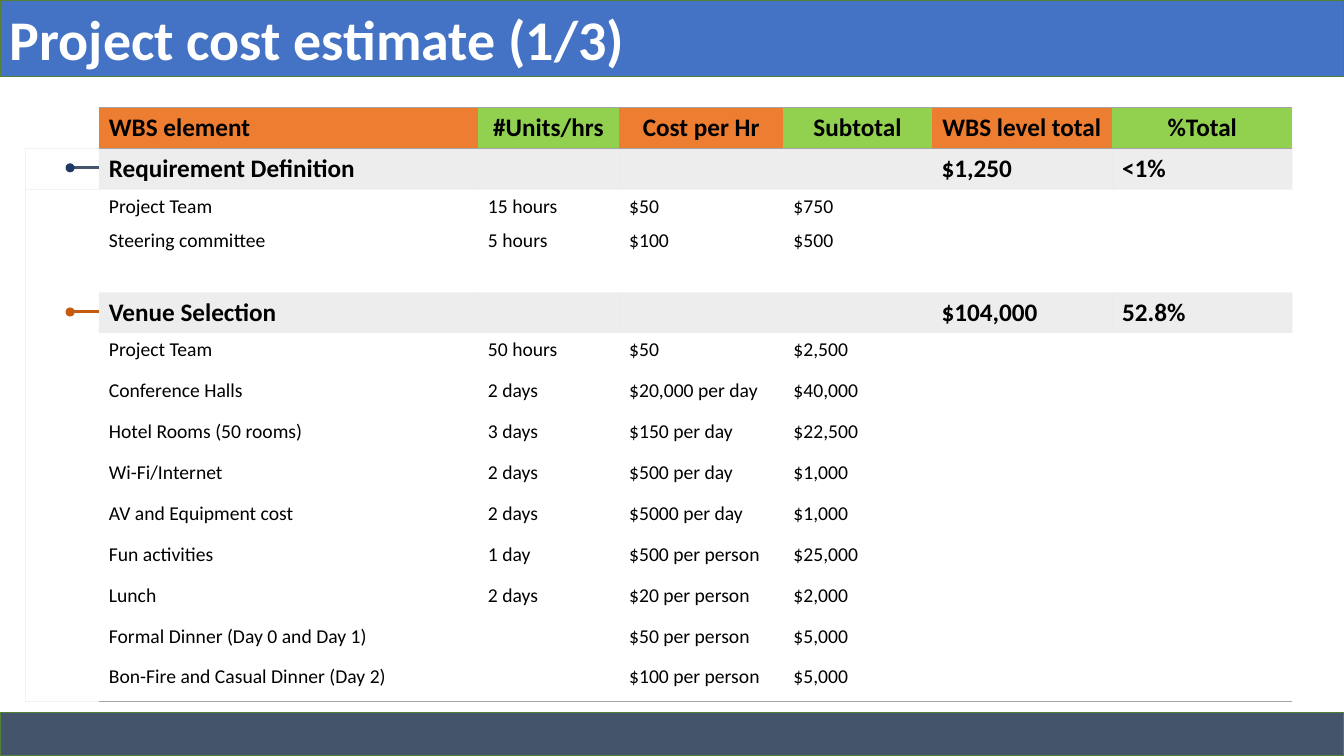
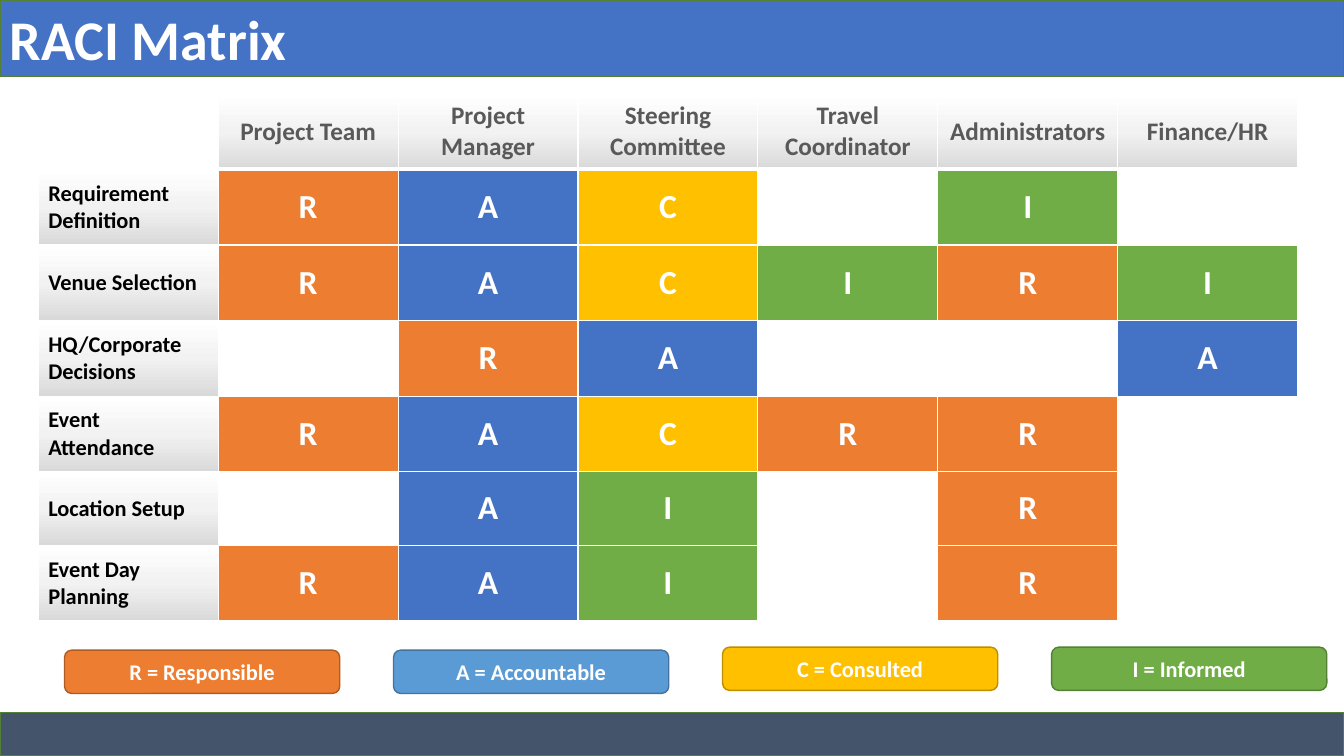
"""Build the project cost estimate and RACI matrix slides."""
from lxml import etree
from pptx import Presentation
from pptx.dml.color import RGBColor
from pptx.enum.shapes import MSO_CONNECTOR, MSO_SHAPE
from pptx.enum.text import MSO_ANCHOR, PP_ALIGN
from pptx.oxml import parse_xml
from pptx.oxml.ns import nsdecls, qn
from pptx.util import Inches, Pt

RECTANGLE, ROUNDED, OVAL = MSO_SHAPE.RECTANGLE, MSO_SHAPE.ROUNDED_RECTANGLE, MSO_SHAPE.OVAL
STRAIGHT = MSO_CONNECTOR.STRAIGHT
LEFT, CENTER = PP_ALIGN.LEFT, PP_ALIGN.CENTER
TOP, MIDDLE = MSO_ANCHOR.TOP, MSO_ANCHOR.MIDDLE

WHITE = RGBColor(0xFF, 0xFF, 0xFF)
BLACK = RGBColor(0x00, 0x00, 0x00)
BLUE = RGBColor(0x44, 0x72, 0xC4)
LIGHT_BLUE = RGBColor(0x5B, 0x9B, 0xD5)
STEEL_EDGE = RGBColor(0x43, 0x73, 0x9E)
NAVY = RGBColor(0x20, 0x38, 0x64)
SLATE = RGBColor(0x44, 0x54, 0x6A)
ORANGE = RGBColor(0xED, 0x7D, 0x31)
RUST = RGBColor(0xC5, 0x5A, 0x11)
ORANGE_EDGE = RGBColor(0xAF, 0x5C, 0x24)
GOLD = RGBColor(0xFF, 0xC0, 0x00)
GOLD_EDGE = RGBColor(0xBD, 0x8E, 0x00)
GREEN = RGBColor(0x70, 0xAD, 0x47)
GREEN_EDGE = RGBColor(0x53, 0x80, 0x35)
LIME = RGBColor(0x92, 0xD0, 0x50)
GREY = RGBColor(0xA5, 0xA5, 0xA5)
PALE_GREY = RGBColor(0xF2, 0xF2, 0xF2)
SILVER = RGBColor(0xD9, 0xD9, 0xD9)
TEXT_GREY = RGBColor(0x59, 0x59, 0x59)

FONT = "Calibri"
SLIDE_WIDTH, SLIDE_HEIGHT = 13.33, 7.5
NO_STYLE = "{2D5ABB26-0587-4C30-8999-92F81FD0307C}"

COST_WIDTHS = [0.73, 3.76, 1.4, 1.63, 1.47, 1.79, 1.79]
COST_HEADINGS = ["WBS element", "#Units/hrs", "Cost per Hr", "Subtotal",
                 "WBS level total", "%Total"]
COST_ROWS = [
    ["Requirement Definition", "", "", "", "$1,250", "<1%"],
    ["Project Team", "15 hours", "$50", "$750", "", ""],
    ["Steering committee", "5 hours", "$100", "$500", "", ""],
    ["", "", "", "", "", ""],
    ["Venue Selection", "", "", "", "$104,000", "52.8%"],
    ["Project Team", "50 hours", "$50", "$2,500", "", ""],
    ["Conference Halls", "2 days", "$20,000 per day", "$40,000", "", ""],
    ["Hotel Rooms (50 rooms)", "3 days", "$150 per day", "$22,500", "", ""],
    ["Wi-Fi/Internet", "2 days", "$500 per day", "$1,000", "", ""],
    ["AV and Equipment cost", "2 days", "$5000 per day", "$1,000", "", ""],
    ["Fun activities", "1 day", "$500 per person", "$25,000", "", ""],
    ["Lunch", "2 days", "$20 per person", "$2,000", "", ""],
    ["Formal Dinner (Day 0 and Day 1)", "", "$50 per person", "$5,000", "", ""],
    ["Bon-Fire and Casual Dinner (Day 2)", "", "$100 per person", "$5,000", "", ""],
]
COMPACT_ROWS = (2, 3, 4)

RACI_HEADINGS = ["", "Project Team", "Project Manager", "Steering Committee",
                 "Travel Coordinator", "Administrators", "Finance/HR"]
RACI_ROWS = [
    ("Requirement Definition", "RAC-I-"),
    ("Venue Selection", "RACIRI"),
    ("HQ/Corporate Decisions", "-RA--A"),
    ("Event Attendance", "RACRR-"),
    ("Location Setup", "-AI-R-"),
    ("Event Day Planning", "RAI-R-"),
]
RACI_HEIGHTS = [0.75, 0.75, 0.75, 0.75, 0.75, 0.73, 0.75]
ROLE_COLORS = {"R": ORANGE, "A": BLUE, "C": GOLD, "I": GREEN, "-": WHITE}
LEGEND = [
    ("R = Responsible", 6.45, ORANGE, ORANGE_EDGE),
    ("A = Accountable", 6.45, LIGHT_BLUE, STEEL_EDGE),
    ("C = Consulted", 6.42, GOLD, GOLD_EDGE),
    ("I = Informed", 6.42, GREEN, GREEN_EDGE),
]


def write(frame, text, size, color, bold=True, align=LEFT):
    paragraph = frame.paragraphs[0]
    paragraph.text = text
    paragraph.alignment = align
    for run in paragraph.runs:
        run.font.name = FONT
        run.font.size = Pt(size)
        run.font.bold = bold
        run.font.color.rgb = color


def add_box(shapes, kind, left, top, width, height, fill, edge=None):
    box = shapes.add_shape(kind, Inches(left), Inches(top), Inches(width), Inches(height))
    box.shadow.inherit = False
    box.fill.solid()
    box.fill.fore_color.rgb = fill
    if edge is None:
        box.line.fill.background()
    else:
        box.line.color.rgb = edge
        box.line.width = Pt(1)
    box.text_frame.vertical_anchor = MIDDLE
    return box


def add_framed_slide(deck, title):
    slide = deck.slides.add_slide(deck.slide_layouts[6])
    banner = add_box(slide.shapes, RECTANGLE, 0, 0, SLIDE_WIDTH, 0.76, BLUE, GREEN_EDGE)
    write(banner.text_frame, title, 40, WHITE)
    add_box(slide.shapes, RECTANGLE, 0, 7.07, SLIDE_WIDTH, 0.43, SLATE, GREEN_EDGE)
    return slide


def add_plain_table(slide, left, top, widths, heights):
    frame = slide.shapes.add_table(len(heights), len(widths), Inches(left), Inches(top),
                                   Inches(sum(widths)), Inches(sum(heights)))
    table = frame.table
    table.first_row = table.horz_banding = False
    table._tbl.tblPr.find(qn("a:tableStyleId")).text = NO_STYLE
    for column, width in zip(table.columns, widths):
        column.width = Inches(width)
    for row, height in zip(table.rows, heights):
        row.height = Inches(height)
    return table


def set_borders(cell, borders):
    properties = cell._tc.get_or_add_tcPr()
    for side in "LRTB":
        if side in borders:
            color, points = borders[side]
            properties.append(parse_xml(
                f'<a:ln{side} {nsdecls("a")} w="{Pt(points)}"><a:solidFill>'
                f'<a:srgbClr val="{color}"/></a:solidFill></a:ln{side}>'))


def fill_cell(cell, color, alpha=None):
    if color is None:
        cell.fill.background()
        return
    cell.fill.solid()
    cell.fill.fore_color.rgb = color
    if alpha is not None:
        tint = cell._tc.tcPr.find(qn("a:solidFill")).find(qn("a:srgbClr"))
        etree.SubElement(tint, qn("a:alpha")).set("val", str(alpha * 1000))


def shade_cell(cell):
    stops = "".join(f'<a:gs pos="{place * 1000}"><a:srgbClr val="{color}"/></a:gs>'
                    for place, color in ((0, SILVER), (50, PALE_GREY), (100, WHITE)))
    cell._tc.get_or_add_tcPr().append(parse_xml(
        f'<a:gradFill {nsdecls("a")}><a:gsLst>{stops}</a:gsLst>'
        '<a:lin ang="16200000" scaled="0"/></a:gradFill>'))


def set_empty_size(cell, size):
    end_mark = cell.text_frame.paragraphs[0]._p.get_or_add_endParaRPr()
    end_mark.set("sz", str(size * 100))


def add_cost_heading(table):
    set_borders(table.cell(0, 0), {"B": (PALE_GREY, 1)})
    fill_cell(table.cell(0, 0), None)
    for column, heading in enumerate(COST_HEADINGS, 1):
        cell = table.cell(0, column)
        cell.vertical_anchor = MIDDLE
        write(cell.text_frame, heading, 18, BLACK, align=LEFT if column == 1 else CENTER)
        set_borders(cell, {"T": (GREY, 1), "B": (GREY, 1)})
        fill_cell(cell, ORANGE if column % 2 else LIME)


def add_cost_row(table, row, entries):
    is_section = bool(entries[-1])
    is_last = row == len(COST_ROWS)
    for column, entry in enumerate([""] + entries):
        cell = table.cell(row, column)
        cell.vertical_anchor = TOP
        if entry:
            write(cell.text_frame, entry, 18 if is_section else 14, BLACK, is_section)
        elif row in COMPACT_ROWS:
            set_empty_size(cell, 14)
        borders = {}
        if column == 0:
            borders["L"] = (PALE_GREY, 1)
            if row == 1:
                borders["T"] = (PALE_GREY, 1)
        if is_last:
            borders["B"] = (GREY if column else PALE_GREY, 1)
        set_borders(cell, borders)
        if is_section and column:
            fill_cell(cell, GREY, 20)
        else:
            fill_cell(cell, WHITE)


def add_section_marker(slide, middle, line_color, dot_color):
    marker = slide.shapes.add_group_shape().shapes
    stem = marker.add_connector(STRAIGHT, Inches(0.7), Inches(middle),
                                Inches(0.98), Inches(middle))
    stem.line.color.rgb = line_color
    stem.line.width = Pt(2.25)
    etree.SubElement(stem._element.spPr, qn("a:effectLst"))
    add_box(marker, OVAL, 0.65, middle - 0.04, 0.09, 0.09, dot_color)


def add_cost_slide(deck):
    slide = add_framed_slide(deck, "Project cost estimate (1/3)")
    heights = [0.34 if row in COMPACT_ROWS else 0.4 for row in range(len(COST_ROWS) + 1)]
    table = add_plain_table(slide, 0.25, 1.07, COST_WIDTHS, heights)
    add_cost_heading(table)
    for row, entries in enumerate(COST_ROWS, 1):
        add_cost_row(table, row, entries)
    add_section_marker(slide, 1.66, SLATE, NAVY)
    add_section_marker(slide, 3.09, RUST, RUST)


def add_raci_cell(table, row, column, text, size, color, align):
    cell = table.cell(row, column)
    cell.vertical_anchor = MIDDLE
    if text:
        write(cell.text_frame, text, size, color, align=align)
    borders = dict.fromkeys("LRTB", (WHITE, 1))
    if row < 2:
        borders["T" if row else "B"] = (WHITE, 3)
    set_borders(cell, borders)
    return cell


def add_raci_slide(deck):
    slide = add_framed_slide(deck, "RACI Matrix")
    columns = len(RACI_HEADINGS)
    table = add_plain_table(slide, 0.38, 0.93, [12.49 / columns] * columns, RACI_HEIGHTS)
    for column, heading in enumerate(RACI_HEADINGS):
        cell = add_raci_cell(table, 0, column, heading, 18, TEXT_GREY, CENTER)
        if heading:
            shade_cell(cell)
        else:
            fill_cell(cell, WHITE)
    for row, (activity, roles) in enumerate(RACI_ROWS, 1):
        shade_cell(add_raci_cell(table, row, 0, activity, 16, BLACK, LEFT))
        for column, role in enumerate(roles, 1):
            cell = add_raci_cell(table, row, column, role.strip("-"), 24, WHITE, CENTER)
            fill_cell(cell, ROLE_COLORS[role])
    pitch = (10.43 - 0.64) / (len(LEGEND) - 1)
    for place, (meaning, top, fill, edge) in enumerate(LEGEND):
        key = add_box(slide.shapes, ROUNDED, 0.64 + place * pitch, top, 2.73, 0.43, fill, edge)
        write(key.text_frame, meaning, 16, WHITE, align=CENTER)


def main():
    deck = Presentation()
    deck.slide_width = Inches(SLIDE_WIDTH)
    deck.slide_height = Inches(SLIDE_HEIGHT)
    add_cost_slide(deck)
    add_raci_slide(deck)
    deck.save("out.pptx")


if __name__ == "__main__":
    main()
